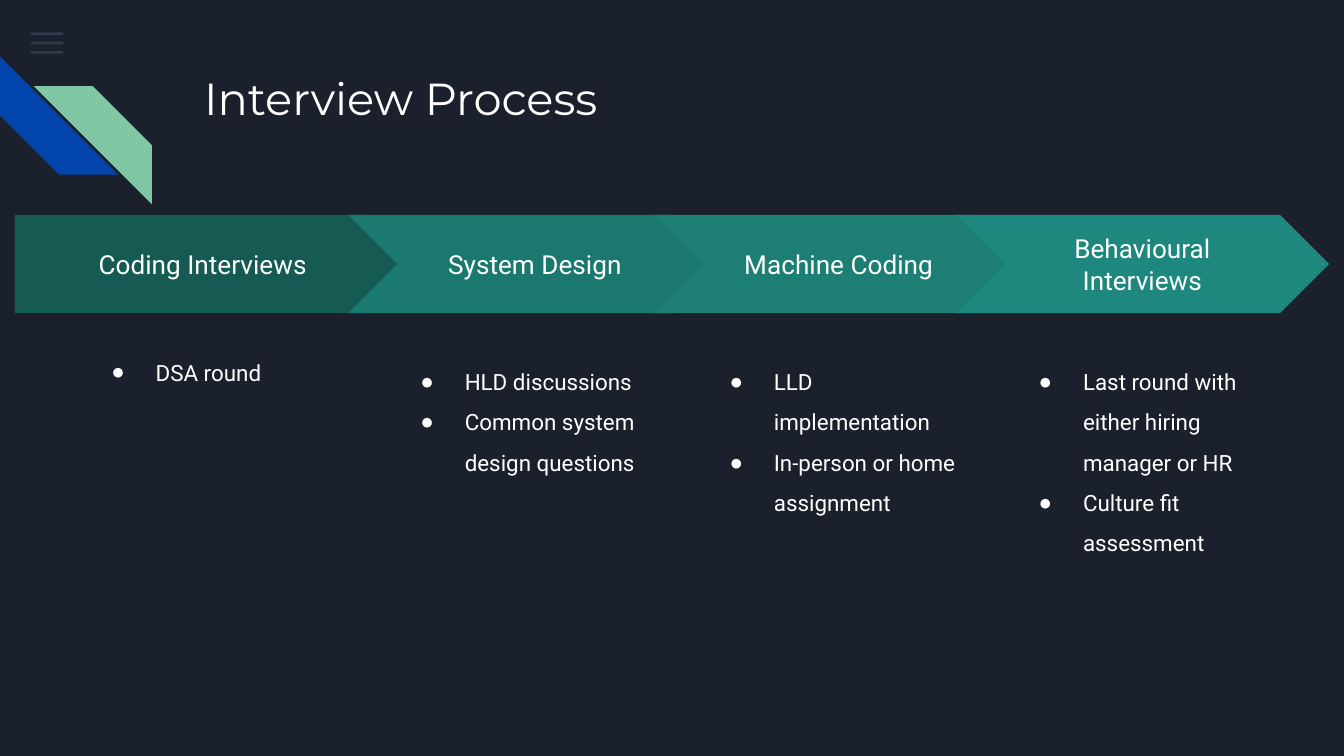
from dataclasses import dataclass

from lxml import etree
from pptx import Presentation
from pptx import util as u
from pptx.dml.color import RGBColor
from pptx.enum import shapes, text
from pptx.oxml.ns import qn

WIDTH = 10
HEIGHT = WIDTH * 9 / 16
NIGHT = RGBColor(0x1B, 0x21, 0x2C)
SLATE = RGBColor(0x55, 0x68, 0x8B)
BLUE = RGBColor(0x01, 0x45, 0xAC)
MINT = RGBColor(0x82, 0xC7, 0xA5)
WHITE = RGBColor(0xFF, 0xFF, 0xFF)
TEALS = [RGBColor(0x15, 0x5B, 0x54), RGBColor(0x1B, 0x78, 0x6E),
         RGBColor(0x1D, 0x7E, 0x74), RGBColor(0x1F, 0x88, 0x7E)]

# Grid: arrows and bullet lists each repeat at their own column step
ARROW_TOP, ARROW_H, ARROW_W = 1.6, 0.73, 2.78
ARROW_X, ARROW_STEP = 0.33, 2.26
START_X, START_W = 0.11, 2.98
LIST_X, LIST_STEP, LIST_TOP, LIST_W, LIST_H = 0.56, 2.3, 2.54, 2.08, 2.86
KIND = shapes.MSO_SHAPE


@dataclass
class Box:
    x: float
    y: float
    w: float
    h: float

    def emu(self) -> list[int]:
        return [u.Inches(v) for v in (self.x, self.y, self.w, self.h)]


@dataclass
class Stage:
    name: str
    points: list[str]
    spacing: float = 1.5


STAGES = [
    Stage("Coding Interviews", ["DSA round"], 1.15),
    Stage("System Design", ["HLD discussions", "Common system design questions"]),
    Stage("Machine Coding", ["LLD implementation", "In-person or home assignment"]),
    Stage("Behavioural Interviews",
          ["Last round with either hiring manager or HR", "Culture fit assessment"]),
]


def add_solid(s, kind: KIND, box: Box, color: RGBColor, rotation: float = 0):
    sp = s.shapes.add_shape(kind, *box.emu())
    sp.shadow.inherit = False
    sp.fill.solid()
    sp.fill.fore_color.rgb = color
    sp.line.fill.background()
    sp.rotation = rotation
    return sp


def set_text(sp, lines: list[str], size: float, font: str = "Roboto") -> None:
    tf = sp.text_frame
    tf.word_wrap = True
    tf.margin_left = tf.margin_right = tf.margin_top = tf.margin_bottom = u.Inches(0.1)
    tf.text = "\n".join(lines)
    for p in tf.paragraphs:
        for r in p.runs:
            r.font.size, r.font.name = u.Pt(size), font
            r.font.color.rgb = WHITE


def add_bullet(p) -> None:
    pPr = p._p.get_or_add_pPr()
    pPr.set("marL", str(u.Inches(0.5)))
    pPr.set("indent", str(u.Inches(-0.33)))
    color = etree.SubElement(pPr, qn("a:buClr"))
    etree.SubElement(color, qn("a:srgbClr"), val=str(WHITE))
    etree.SubElement(pPr, qn("a:buSzPts"), val="1200")
    etree.SubElement(pPr, qn("a:buFont"), typeface="Arial")
    etree.SubElement(pPr, qn("a:buChar"), char="●")


def add_stage(s, col: int, stage: Stage) -> None:
    # Arrow: the first has a flat left edge
    if col == 0:
        kind, box = KIND.PENTAGON, Box(START_X, ARROW_TOP, START_W, ARROW_H)
    else:
        kind = KIND.CHEVRON
        box = Box(ARROW_X + col * ARROW_STEP, ARROW_TOP, ARROW_W, ARROW_H)
    sp = add_solid(s, kind, box, TEALS[col])
    sp.adjustments[0] = 0.5
    set_text(sp, [stage.name], 14)
    sp.text_frame.vertical_anchor = text.MSO_ANCHOR.MIDDLE
    sp.text_frame.paragraphs[0].alignment = text.PP_ALIGN.CENTER

    # Bullet list below the arrow
    box = Box(LIST_X + col * LIST_STEP, LIST_TOP, LIST_W, LIST_H)
    sp = s.shapes.add_textbox(*box.emu())
    set_text(sp, stage.points, 12)
    for p in sp.text_frame.paragraphs:
        p.line_spacing = stage.spacing
        add_bullet(p)


def main() -> None:
    prs = Presentation()
    prs.slide_width, prs.slide_height = u.Inches(WIDTH), u.Inches(HEIGHT)
    s = prs.slides.add_slide(prs.slide_layouts[6])
    s.background.fill.solid()
    s.background.fill.fore_color.rgb = NIGHT

    # Menu icon
    for row in range(3):
        sp = add_solid(s, KIND.RECTANGLE, Box(0.23, 0.24 + row * 0.07, 0.24, 0.02), SLATE)
        fill = sp._element.spPr.find(qn("a:solidFill"))
        etree.SubElement(fill[0], qn("a:alpha"), val="36000")

    # Corner stripes
    add_solid(s, KIND.DIAGONAL_STRIPE, Box(0, 0.42, 0.88, 0.88), BLUE, 270)
    add_solid(s, KIND.DIAGONAL_STRIPE, Box(0.25, 0.64, 0.88, 0.88), MINT, 90)

    # Title
    title = s.shapes.add_textbox(*Box(1.42, 0.43, 7.7, 1).emu())
    set_text(title, ["Interview Process"], 24, "Montserrat")

    # Process stages
    for col, stage in enumerate(STAGES):
        add_stage(s, col, stage)

    prs.save("out.pptx")


if __name__ == "__main__":
    main()
